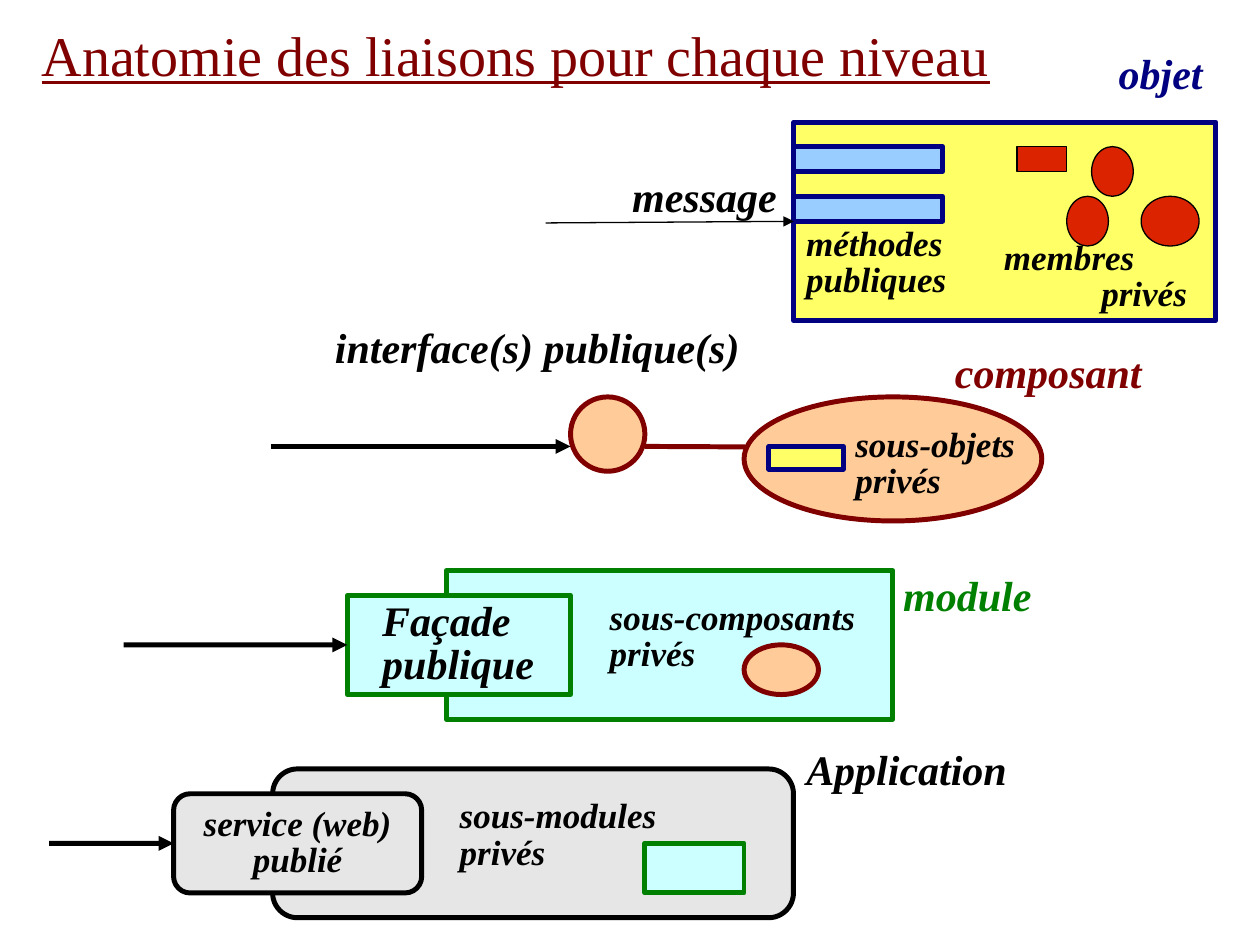
from lxml.etree import SubElement
from pptx import Presentation
from pptx.dml.color import RGBColor
from pptx.enum.shapes import MSO_CONNECTOR as CONN, MSO_SHAPE as SHAPE
from pptx.enum.text import MSO_ANCHOR as ANCHOR, MSO_AUTO_SIZE as FIT, PP_ALIGN as ALIGN
from pptx.oxml.ns import qn
from pptx.util import Pt

NAVY, MAROON, GREEN, BLACK = "000080", "800000", "008000", "000000"
YELLOW, PEACH, CYAN, GREY = "FFFF66", "FFCC99", "CCFFFF", "E6E6E6"
BLUE, RED = "99CCFF", "DC2300"
THICK, THIN = 2.83, 0.75


def rgb(value):
    return RGBColor.from_string(value)


def write(tf, text, size=20, color=BLACK, bold=True, italic=True, underline=False,
          aligns=(ALIGN.LEFT,), wrap=False, anchor=ANCHOR.TOP, insets=(7.2, 3.6)):
    tf.auto_size = FIT.NONE
    tf.word_wrap = wrap
    tf.vertical_anchor = anchor
    tf.margin_left = tf.margin_right = Pt(insets[0])
    tf.margin_top = tf.margin_bottom = Pt(insets[1])
    for i, line in enumerate(text.split("\n")):
        p = tf.add_paragraph() if i else tf.paragraphs[0]
        p.alignment = aligns[min(i, len(aligns) - 1)]
        p.line_spacing = 0.86
        r = p.add_run()
        r.text = line
        f = r.font
        f.name, f.size, f.color.rgb = "Times New Roman", Pt(size), rgb(color)
        f.bold, f.italic, f.underline = bold, italic, underline


class Diagram:
    def __init__(self, slide):
        self.s = slide

    def title(self, text, x, y, w, h):
        sp = self.s.shapes.title
        sp.left, sp.top, sp.width, sp.height = Pt(x), Pt(y), Pt(w), Pt(h)
        write(sp.text_frame, text, size=32, color=MAROON, bold=False, italic=False,
              underline=True)

    def text(self, text, x, y, w, h, **fmt):
        sp = self.s.shapes.add_textbox(Pt(x), Pt(y), Pt(w), Pt(h))
        write(sp.text_frame, text, **fmt)

    def shape(self, kind, x, y, w, h, fill, line, weight=THICK):
        sp = self.s.shapes.add_shape(kind, Pt(x), Pt(y), Pt(w), Pt(h))
        sp.shadow.inherit = False
        sp.fill.solid()
        sp.fill.fore_color.rgb = rgb(fill)
        sp.line.color.rgb = rgb(line)
        sp.line.width = Pt(weight)
        return sp

    def line(self, x1, y1, x2, y2, color=BLACK, weight=THICK, arrow=True, target=None):
        c = self.s.shapes.add_connector(CONN.STRAIGHT, Pt(x1), Pt(y1), Pt(x2), Pt(y2))
        c.line.color.rgb = rgb(color)
        c.line.width = Pt(weight)
        if arrow:
            SubElement(c.line._get_or_add_ln(), qn("a:tailEnd"), type="triangle")
        SubElement(c._element.spPr, qn("a:effectLst"))
        if target is not None:
            c.end_connect(target, 1)


def draw_object(d):
    box = d.shape(SHAPE.RECTANGLE, 453.6, 69.8, 241.2, 113.4, YELLOW, NAVY)
    d.text("objet", 632.2, 28.1, 62.6, 33.8, size=24, color=NAVY)
    for y in (83.8, 112.2):
        d.shape(SHAPE.RECTANGLE, 453.6, y, 85, 14.2, BLUE, NAVY)
    for x, y, w in ((609.6, 112.2, 23.8), (652.1, 112.2, 33.1), (623.8, 83.8, 23.8)):
        d.shape(SHAPE.OVAL, x, y, w, 28.4, RED, BLACK, THIN)
    d.shape(SHAPE.RECTANGLE, 581.2, 83.8, 28.3, 14.2, RED, BLACK, THIN)
    d.line(311.8, 127.4, 453.6, 127.4, weight=THIN, target=box)
    d.text("message", 354.2, 97.9, 97.2, 33.8, size=24)
    d.text("méthodes\npubliques", 453.6, 126.7, 94.3, 49.7)
    d.text("membres\nprivés", 566.6, 134.6, 118.8, 49.7, wrap=True,
           aligns=(ALIGN.LEFT, ALIGN.RIGHT))


def draw_component(d):
    d.shape(SHAPE.OVAL, 425.2, 226.8, 170.1, 70.9, PEACH, MAROON)
    d.text("composant", 538.6, 198.7, 121, 33.8, size=24, color=MAROON)
    d.shape(SHAPE.OVAL, 326, 226.8, 42.5, 42.5, PEACH, MAROON)
    d.line(368.5, 255.1, 425.6, 255.4, color=MAROON, arrow=False)
    d.line(154.6, 255.1, 326, 255.1)
    d.text("interface(s) publique(s)", 184.3, 184.3, 274.3, 48.2, size=24, wrap=True)
    d.shape(SHAPE.RECTANGLE, 439.4, 255.1, 42.5, 13, YELLOW, NAVY)
    d.text("sous-objets\nprivés", 481.7, 241.2, 105.8, 49.7)


def draw_module(d):
    d.shape(SHAPE.RECTANGLE, 255.1, 326, 255.1, 85, CYAN, GREEN)
    d.text("module", 509, 326.2, 87.8, 33.8, size=24, color=GREEN)
    facade = d.shape(SHAPE.RECTANGLE, 198.4, 340.2, 127.6, 56.7, CYAN, GREEN)
    write(facade.text_frame, "Façade\npublique", size=24, wrap=True,
          anchor=ANCHOR.MIDDLE, insets=(20, 5))
    d.shape(SHAPE.OVAL, 425.2, 368.5, 42.5, 28.4, PEACH, MAROON)
    d.text("sous-composants\nprivés", 341.3, 340.2, 154.8, 49.7)
    d.line(70.6, 368.5, 198.4, 368.5, target=facade)


def draw_application(d):
    d.shape(SHAPE.ROUNDED_RECTANGLE, 155.8, 439.4, 297.6, 85, GREY, BLACK)
    d.text("Application", 453.6, 425.5, 128.9, 33.8, size=24, aligns=(ALIGN.CENTER,))
    d.shape(SHAPE.RECTANGLE, 368.5, 481.9, 56.7, 28.4, CYAN, GREEN)
    d.text("sous-modules\nprivés", 255.6, 453.6, 126.7, 49.7)
    service = d.shape(SHAPE.ROUNDED_RECTANGLE, 99.2, 453.6, 141.8, 56.7, GREY, BLACK)
    write(service.text_frame, "service (web)\npublié", aligns=(ALIGN.CENTER,),
          anchor=ANCHOR.MIDDLE, insets=(8.6, 5))
    d.line(28.1, 481.9, 99.2, 481.9, target=service)


def main():
    prs = Presentation()
    prs.slide_width, prs.slide_height = Pt(720), Pt(540)
    d = Diagram(prs.slides.add_slide(prs.slide_layouts[5]))
    d.title("Anatomie des liaisons pour chaque niveau", 16.6, 13.7, 557.3, 42.5)
    draw_object(d)
    draw_component(d)
    draw_module(d)
    draw_application(d)
    prs.save("out.pptx")


if __name__ == "__main__":
    main()
